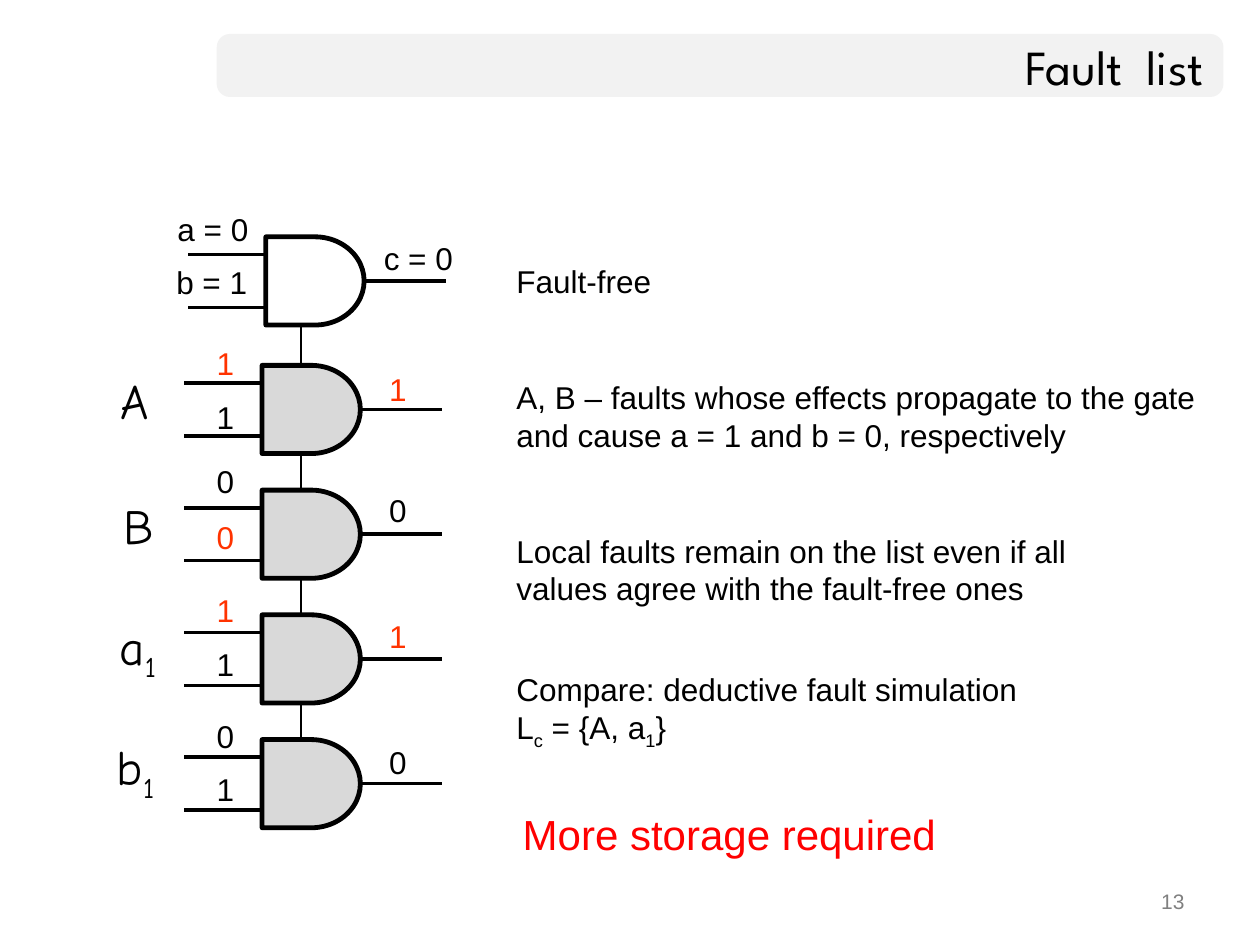
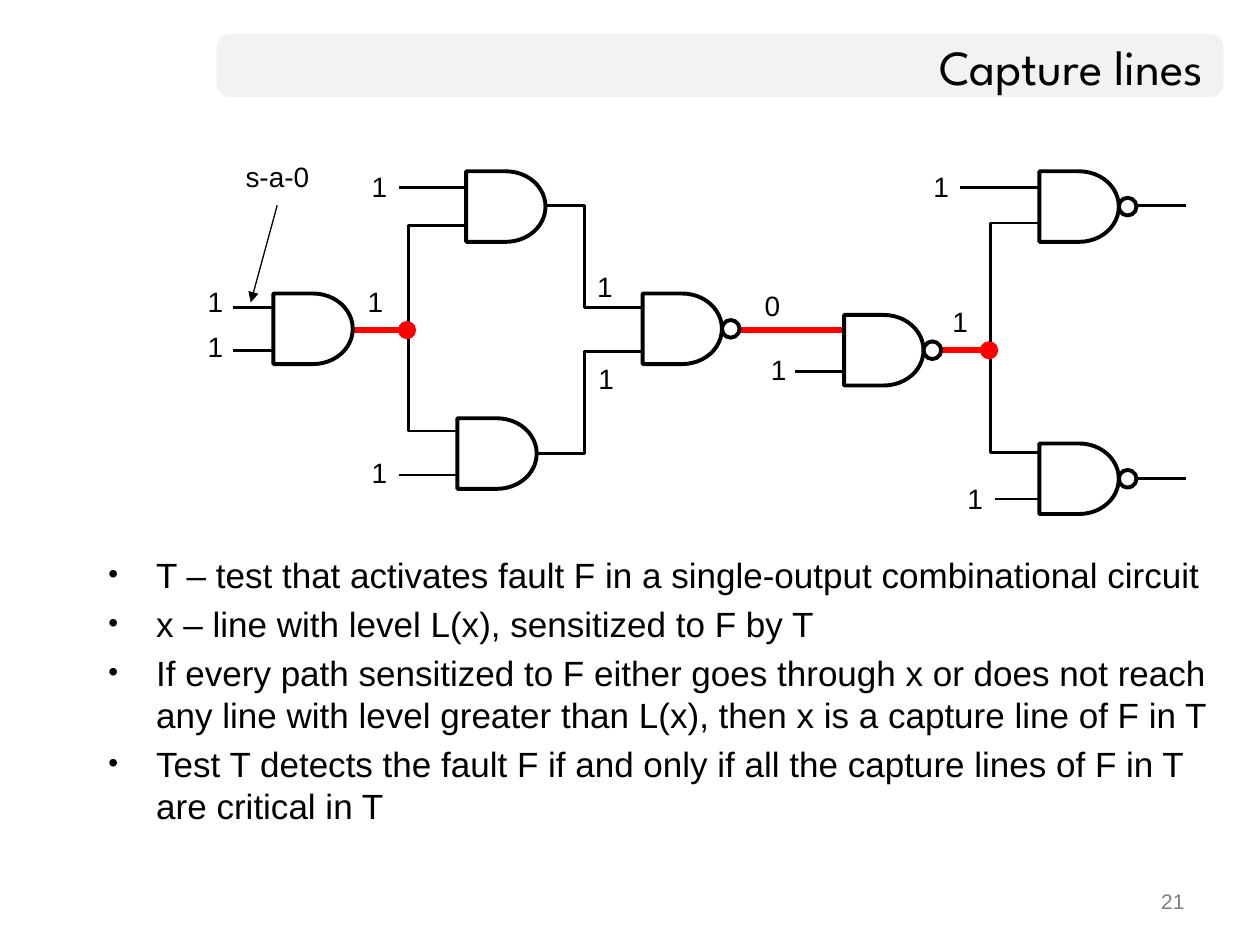
"""Build two slides on fault simulation with logic gate diagrams."""
from lxml.etree import SubElement
from pptx import Presentation
from pptx.dml.color import RGBColor
from pptx.enum.shapes import MSO_CONNECTOR as Link, MSO_SHAPE as Kind
from pptx.enum.text import MSO_ANCHOR as Anchor, MSO_AUTO_SIZE as Fit, PP_ALIGN as Align
from pptx.oxml.ns import qn
from pptx.util import Inches, Pt

BLACK = RGBColor(0x00, 0x00, 0x00)
WHITE = RGBColor(0xFF, 0xFF, 0xFF)
BAND = RGBColor(0xF2, 0xF2, 0xF2)
GREY = RGBColor(0xD9, 0xD9, 0xD9)
DIM = RGBColor(0x80, 0x80, 0x80)
RED = RGBColor(0xFF, 0x00, 0x00)
FLAME = RGBColor(0xFF, 0x33, 0x00)
SANS, HAND, HEAD = "Arial", "Comic Neue", "League Spartan"

# Gate rows: left, top, fill, then (text, centre x, centre y, colour) for each signal
GOOD = (2.11, 1.88, WHITE, [
    ("a = 0", 1.69, 1.82, BLACK), ("b = 1", 1.68, 2.24, BLACK), ("c = 0", 3.32, 2.05, BLACK)])
FAULTS = [
    ("A", 0.86, 2.89, "111", (2.88, 3.31, 3.09), (0, 2)),
    ("B", 0.88, 3.88, "000", (3.82, 4.26, 4.05), (1,)),
    ("a_1", 0.85, 4.84, "111", (4.84, 5.27, 5.05), (0, 2)),
    ("b_1", 0.83, 5.80, "010", (5.84, 6.26, 6.05), ()),
]
FAULTS[3] = ("b_1", 0.83, 5.80, "010", (5.84, 6.26, 6.05), ())
NOTES = [
    ("Fault-free", 2.03, 1.28),
    ("A, B – faults whose effects propagate to the gate and cause a = 1 and b = 0, respectively", 2.95, 5.65),
    ("Local faults remain on the list even if all values agree with the fault-free ones", 4.17, 4.86),
    ("Compare: deductive fault simulation\nL_c = {A, a_1}", 5.27, 4.86),
]

BENDS = [
    [(8.42, 1.77), (7.86, 1.77), (7.86, 3.59), (8.35, 3.59)],
    [(3.80, 1.79), (3.24, 1.79), (3.24, 3.42), (3.73, 3.42)],
    [(4.15, 1.63), (4.64, 1.63), (4.64, 2.44), (5.26, 2.44)],
    [(4.15, 3.60), (4.64, 3.60), (4.64, 2.79), (5.26, 2.79)],
]
HOT = [(7.37, 2.78, 7.85, "oval"), (2.76, 2.62, 3.23, "oval"), (5.70, 2.62, 6.94, None)]
WIRES = [
    (8.64, 1.63, 9.41), (7.62, 1.49, 8.39), (3.17, 3.77, 3.94), (1.85, 2.44, 2.32),
    (1.85, 2.78, 2.32), (3.17, 1.49, 3.94), (6.31, 2.95, 6.79), (7.90, 3.96, 8.38),
    (8.64, 3.80, 9.41),
]
ANDS = [(3.63, 3.32), (2.17, 2.33), (3.70, 1.36)]
NANDS = [(8.25, 3.52), (6.70, 2.50), (5.10, 2.33), (8.25, 1.36)]
BITS = [
    ("1", 1.55, 2.21), ("1", 1.55, 2.57), ("1", 2.85, 3.57), ("1", 2.85, 1.30),
    ("1", 7.31, 1.30), ("1", 7.58, 3.77), ("1", 6.02, 2.75), ("1", 4.64, 2.09),
    ("1", 4.65, 2.82), ("0", 5.97, 2.24), ("1", 7.46, 2.37), ("1", 2.82, 2.21),
]
POINTS = [
    "T – test that activates fault F in a single-output combinational circuit",
    "x – line with level L(x), sensitized to F by T",
    "If every path sensitized to F either goes through x or does not reach any line with level greater than L(x), "
    "then x is a capture line of F in T",
    "Test T detects the fault F if and only if all the capture lines of F in T are critical in T",
]


def box(*nums):
    return [Inches(n) for n in nums]


def style(para, size, color=BLACK, face=SANS, align=None):
    para.alignment = align
    for run in para.runs:
        run.font.size, run.font.name = Pt(size), face
        run.font.color.rgb = color


def write(slide, text, place, size, color=BLACK, face=SANS, align=None, anchor=Anchor.TOP, wrap=True):
    """Add a text box; the letter after an underscore is a subscript."""
    frame = slide.shapes.add_textbox(*box(*place)).text_frame
    frame.word_wrap, frame.vertical_anchor = wrap, anchor
    frame.text = text.replace("_", "")
    for para, line in zip(frame.paragraphs, text.split("\n")):
        first, *rest = line.split("_")
        para.runs[0].text = first
        for part in rest:
            low = para.add_run()
            low.text = part[0]
            low.font._element.set("baseline", "-25000")
            if part[1:]:
                para.add_run().text = part[1:]
        style(para, size, color, face, align)


def solid(slide, kind, place, fill, width=None):
    shape = slide.shapes.add_shape(kind, *box(*place))
    shape.shadow.inherit = False
    shape.fill.solid()
    shape.fill.fore_color.rgb = fill
    if width:
        shape.line.color.rgb, shape.line.width = BLACK, Pt(width)
    else:
        shape.line.fill.background()
    return shape


def wire(slide, ends, width, color=BLACK, tip=None):
    line = slide.shapes.add_connector(Link.STRAIGHT, *box(*ends))
    line.line.color.rgb, line.line.width = color, Pt(width)
    if tip:
        SubElement(line.line._get_or_add_ln(), qn("a:tailEnd"), type=tip)
    SubElement(line.element.spPr, qn("a:effectLst"))


def bend(slide, spots):
    start, *rest = [box(*spot) for spot in spots]
    pen = slide.shapes.build_freeform(*start)
    pen.add_line_segments(rest, close=False)
    shape = pen.convert_to_shape()
    shape.shadow.inherit = False
    shape.fill.background()
    shape.line.color.rgb, shape.line.width = BLACK, Pt(1.5)


def start(deck, layout, title, number):
    slide = deck.slides.add_slide(deck.slide_layouts[layout])
    head = slide.shapes.title
    head.left, head.top, head.width, head.height = box(1.72, 0.27, 7.93, 0.5)
    frame = head.text_frame
    frame.text = title
    frame.auto_size, frame.vertical_anchor = Fit.NONE, Anchor.MIDDLE
    style(frame.paragraphs[0], 28, face=HEAD, align=Align.RIGHT)
    band = solid(slide, Kind.ROUNDED_RECTANGLE, (1.72, 0.27, 7.99, 0.5), BAND)
    band.adjustments[0] = 0.21
    head.element.addprevious(band.element)
    write(slide, number, (7.17, 7, 2.33, 0.35), 12, DIM, align=Align.RIGHT)
    return slide


def gate(slide, left, top, fill, marks, wide):
    wire(slide, (left + 0.54, top + 0.35, left + 1.43, top + 0.35), 2)
    for drop in (0.14, 0.56):
        wire(slide, (left + 0.13, top + drop, left - 0.62, top + drop), 2)
    solid(slide, Kind.FLOWCHART_DELAY, (left, top, 0.78, 0.7), fill, 2.75)
    for text, x, y, color in marks:
        place = (x - wide / 2, y - 0.2, wide, 0.4)
        write(slide, text, place, 18, color, align=Align.CENTER, anchor=Anchor.MIDDLE)


def faults(deck):
    slide = start(deck, 5, "Fault  list", "13")
    wire(slide, (2.39, 2.42, 2.39, 6.28), 1)
    gate(slide, *GOOD, 0.95)
    for row, (name, x, y, bits, mids, bad) in enumerate(FAULTS):
        marks = [(bit, spot, mid, FLAME if i in bad else BLACK)
                 for i, (bit, spot, mid) in enumerate(zip(bits, (1.76, 1.76, 3.13), mids))]
        gate(slide, 2.08, 2.9 + 0.99 * row, GREY, marks, 0.28)
        write(slide, name, (x, y, 0.52, 0.57), 28, face=HAND, wrap=False)
    for text, top, wide in NOTES:
        write(slide, text, (4, top, wide, 0.71), 18, wrap=wide > 2)
    write(slide, "More storage required", (4.05, 6.37, 3.51, 0.5), 24, RED, wrap=False)


def bullets(slide):
    body = slide.placeholders[1]
    body.left, body.top, body.width, body.height = box(0.76, 4.34, 9, 2.46)
    frame = body.text_frame
    frame.text = "\n".join(POINTS)
    frame.auto_size = Fit.NONE
    for i, para in enumerate(frame.paragraphs):
        props = para._p.get_or_add_pPr()
        props.set("marL", str(Inches(0.38)))
        props.set("indent", str(-Inches(0.38)))
        SubElement(props, qn("a:buSzPct"), val="80000")
        SubElement(props, qn("a:buChar"), char="•")
        para.space_before = Pt(4 if i else 0)
        style(para, 20)


def capture(deck):
    slide = start(deck, 1, "Capture lines", "21")
    bullets(slide)
    for spots in BENDS:
        bend(slide, spots)
    for x, y, end, tip in HOT:
        wire(slide, (x, y, end, y), 3.5, RED, tip)
    for x, y, end in WIRES:
        wire(slide, (x, y, end, y), 1.5)
    for x, y in ANDS + NANDS:
        solid(slide, Kind.FLOWCHART_DELAY, (x, y, 0.63, 0.56), WHITE, 2.25)
    for x, y in NANDS:
        solid(slide, Kind.OVAL, (x + 0.63, y + 0.21, 0.14, 0.14), WHITE, 2.25)
    for bit, x, y in BITS:
        write(slide, bit, (x, y, 0.29, 0.37), 16)
    write(slide, "s-a-0", (1.85, 1.22, 0.91, 0.37), 16)
    wire(slide, (2.2, 1.63, 1.99, 2.4), 0.75, tip="triangle")


def main():
    deck = Presentation()
    deck.slide_width, deck.slide_height = box(10, 7.5)
    faults(deck)
    capture(deck)
    deck.save("out.pptx")


if __name__ == "__main__":
    main()
